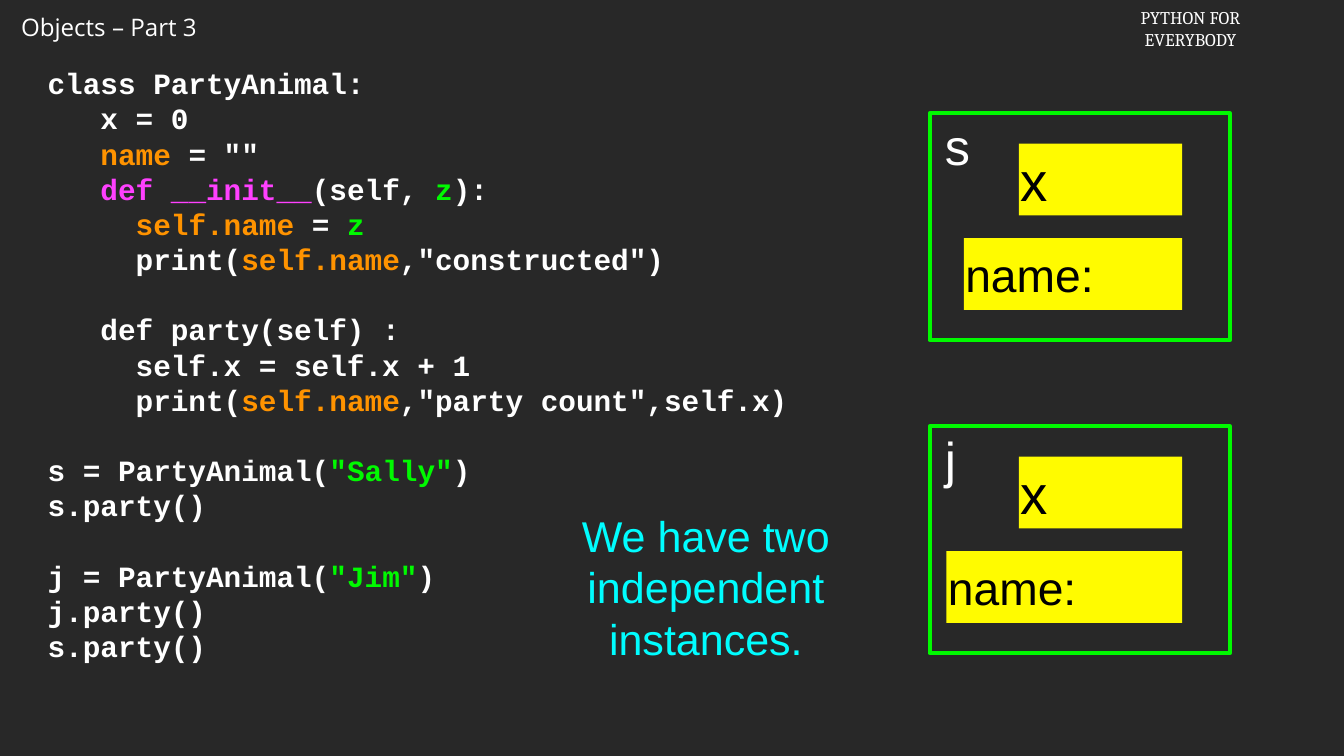
from dataclasses import dataclass

from pptx import Presentation
from pptx.dml.color import RGBColor
from pptx.enum.shapes import MSO_SHAPE
from pptx.enum.text import MSO_ANCHOR, PP_ALIGN
from pptx.util import Emu, Pt


@dataclass(frozen=True)
class Theme:
    background: str = "282828"
    white: str = "FFFFFF"
    black: str = "000000"
    orange: str = "FF9300"
    pink: str = "FF40FF"
    green: str = "00F900"
    yellow: str = "FFFB00"
    cyan: str = "00FDFF"
    sans: str = "Arial"
    serif: str = "Cambria"
    heading: str = "Open Sans"
    mono: str = "Courier New"
    header_size: float = 23
    course_size: float = 17
    code_size: float = 28
    code_leading: float = 33.5
    label_size: float = 48
    x_size: float = 52
    name_size: float = 44
    note_size: float = 41
    note_leading: float = 49
    frame_line: float = 4


THEME = Theme()
SCALE = 9144  # EMU per px, 100 px to the inch

# Content: each line is a list of (text, colour) spans
W, O, P, G = THEME.white, THEME.orange, THEME.pink, THEME.green
HEADER = [[("Objects – Part 3", W)]]
COURSE = [[("PYTHON FOR", W)], [("EVERYBODY", W)]]
NOTE = [[("We have two independent instances.", THEME.cyan)]]
CODE_BLOCKS = [
    [
        [("class PartyAnimal:", W)],
        [("   x = 0", W)],
        [("   ", W), ("name", O), (' = ""', W)],
        [("   ", W), ("def __init__", P), ("(self, ", W), ("z", G), ("):", W)],
        [("     ", W), ("self.name", O), (" = ", W), ("z", G)],
        [("     print(", W), ("self.name", O), (',"constructed")', W)],
    ],
    [
        [("   def party(self) :", W)],
        [("     self.x = self.x + 1", W)],
        [("     print(", W), ("self.name", O), (',"party count",self.x)', W)],
    ],
    [
        [("s = PartyAnimal(", W), ('"Sally"', G), (")", W)],
        [("s.party()", W)],
    ],
    [
        [("j = PartyAnimal(", W), ('"Jim"', G), (")", W)],
        [("j.party()", W)],
        [("s.party()", W)],
    ],
]
# Instance label, frame top, width of its name field
INSTANCES = [("s", 150, 289), ("j", 564, 312)]
# Field text, offset below the frame top, type size
FIELDS = [("x", 40, THEME.x_size), ("name:", 165, THEME.name_size)]

# Instance geometry
FRAME_LEFT, FRAME_WIDTH, FRAME_HEIGHT = 1230, 397, 300
FIELD_RIGHT, FIELD_HEIGHT, X_WIDTH = 1564, 95, 216


def px(value):
    return Emu(value * SCALE)


def color(value):
    return RGBColor.from_string(value)


def write(shape, lines, font, size, insets, anchor=MSO_ANCHOR.TOP,
          align=PP_ALIGN.LEFT, bold=False, leading=None, gaps=()):
    """Fill a shape with lines; gaps holds the line numbers with a line of space before."""
    frame = shape.text_frame
    frame.word_wrap = True
    frame.vertical_anchor = anchor
    (frame.margin_left, frame.margin_top,
     frame.margin_right, frame.margin_bottom) = map(px, insets)
    for number, spans in enumerate(lines):
        para = frame.add_paragraph() if number else frame.paragraphs[0]
        para.alignment = align
        if leading:
            para.line_spacing = Pt(leading)
        if number in gaps:
            para.space_before = Pt(leading)
        for text, tint in spans:
            span = para.add_run()
            span.text = text
            span.font.name = font
            span.font.size = Pt(size)
            span.font.bold = bold
            span.font.color.rgb = color(tint)


def add_text(page, at, *args, **options):
    write(page.shapes.add_textbox(*map(px, at)), *args, **options)


def add_box(group, at, fill=None, line=None):
    box = group.shapes.add_shape(MSO_SHAPE.RECTANGLE, *map(px, at))
    box.shadow.inherit = False
    if fill:
        box.fill.solid()
        box.fill.fore_color.rgb = color(fill)
    else:
        box.fill.background()
    if line:
        box.line.color.rgb = color(line)
        box.line.width = Pt(THEME.frame_line)
    else:
        box.line.fill.background()
    return box


def add_instance(page, label, top, name_width):
    group = page.shapes.add_group_shape()
    outline = add_box(group, (FRAME_LEFT, top, FRAME_WIDTH, FRAME_HEIGHT),
                      line=THEME.green)
    write(outline, [[(label, THEME.white)]], THEME.sans, THEME.label_size,
          (20, 2, 2, 2))
    for (text, offset, size), width in zip(FIELDS, (X_WIDTH, name_width)):
        field = add_box(group, (FIELD_RIGHT - width, top + offset, width, FIELD_HEIGHT),
                        fill=THEME.yellow)
        write(field, [[(text, THEME.black)]], THEME.sans, size, (2, 2, 2, 2),
              anchor=MSO_ANCHOR.MIDDLE)


def main():
    deck = Presentation()
    deck.slide_width, deck.slide_height = px(1778), px(1000)
    page = deck.slides.add_slide(deck.slide_layouts[6])
    page.background.fill.solid()
    page.background.fill.fore_color.rgb = color(THEME.background)

    # Header
    add_text(page, (18, 12, 267, 49), HEADER, THEME.heading, THEME.header_size,
             (10, 5, 10, 5))
    add_text(page, (1488, 4, 174, 67), COURSE, THEME.serif, THEME.course_size,
             (10, 5, 10, 5), align=PP_ALIGN.CENTER)

    # Code listing
    lines, gaps = [], []
    for block in CODE_BLOCKS:
        if lines:
            gaps.append(len(lines))
        lines.extend(block)
    add_text(page, (59, 33, 1096, 898), lines, THEME.mono, THEME.code_size,
             (4, 4, 4, 4), anchor=MSO_ANCHOR.MIDDLE, bold=True,
             leading=THEME.code_leading, gaps=gaps)

    # Object instances
    for instance in INSTANCES:
        add_instance(page, *instance)

    # Note
    add_text(page, (698, 675, 472, 202), NOTE, THEME.sans, THEME.note_size,
             (4, 4, 4, 4), anchor=MSO_ANCHOR.MIDDLE, align=PP_ALIGN.CENTER,
             leading=THEME.note_leading)

    deck.save("out.pptx")


if __name__ == "__main__":
    main()
